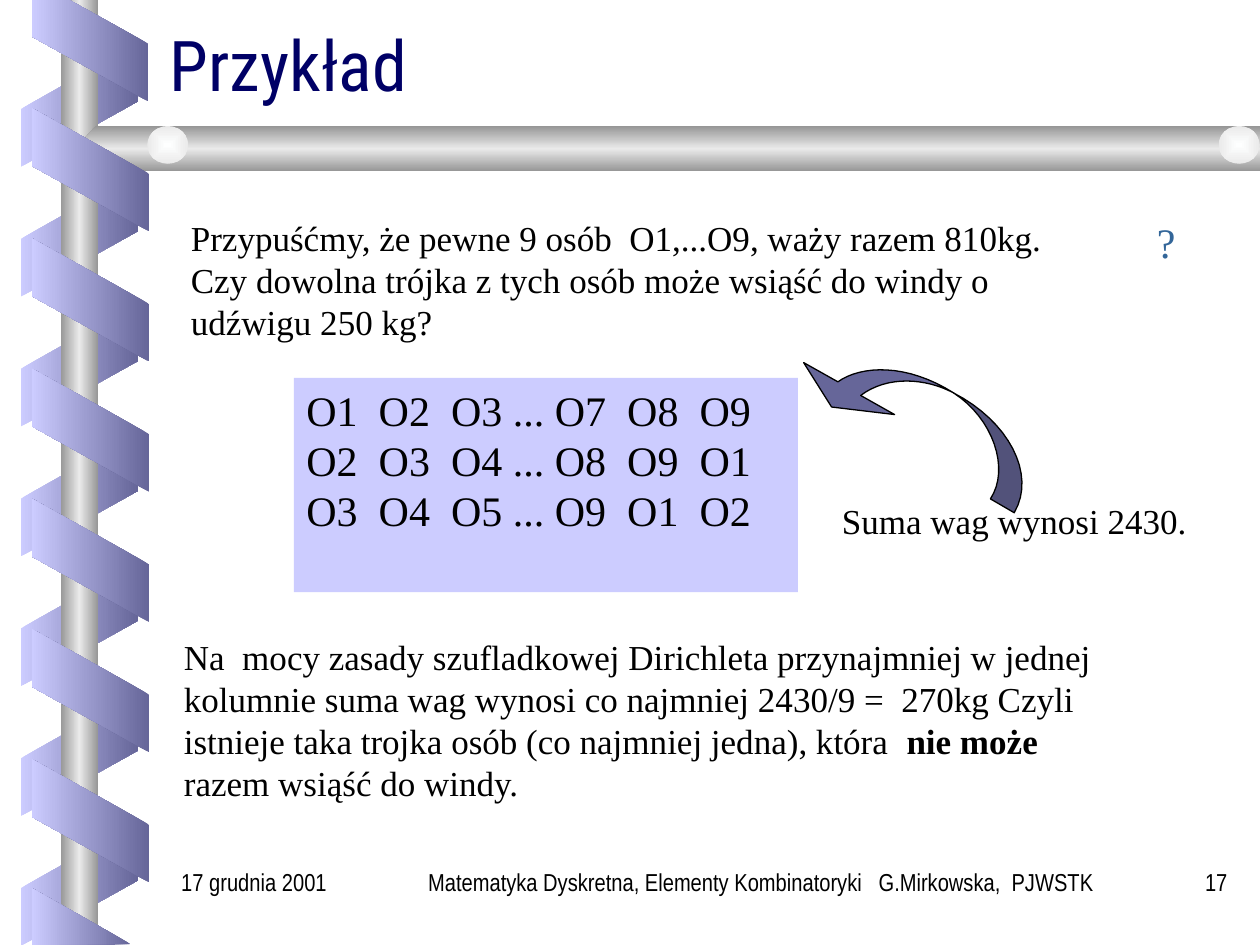
from dataclasses import dataclass

from lxml.etree import SubElement
from pptx import Presentation
from pptx.dml.color import RGBColor
from pptx.enum.shapes import MSO_SHAPE
from pptx.enum.text import MSO_ANCHOR, PP_ALIGN
from pptx.oxml.ns import qn
from pptx.util import Pt


@dataclass(frozen=True)
class Theme:
    navy: str = "000066"
    ink: str = "000000"
    blue: str = "336699"
    pale: str = "CCCCFF"
    dusk: str = "666699"
    shade: str = "52527A"
    steel: str = "969696"
    shine: str = "EAEAEA"
    white: str = "FEFFFF"
    head: int = 40
    large: int = 24
    body: int = 20
    small: int = 14
    serif: str = "Times New Roman"
    narrow: str = "Arial Narrow"
    title: str = "Roboto Condensed"


T = Theme()


def paint(shape, color, line=None):
    """Solid fill, with an optional thin outline."""
    shape.shadow.inherit = False
    shape.fill.solid()
    shape.fill.fore_color.rgb = RGBColor.from_string(color)
    if line:
        shape.line.color.rgb = RGBColor.from_string(line)
        shape.line.width = Pt(0.75)
    else:
        shape.line.fill.background()


def blend(shape, *colors, angle=None):
    """Evenly spaced gradient; without an angle it runs from the centre."""
    shape.shadow.inherit = False
    shape.line.fill.background()
    shape.fill.gradient()
    grad = shape._element.spPr.find(qn("a:gradFill"))
    grad.set("rotWithShape", "0")
    for child in list(grad):
        grad.remove(child)
    stops = SubElement(grad, qn("a:gsLst"))
    for i, color in enumerate(colors):
        place = 100000 * i // (len(colors) - 1)
        stop = SubElement(stops, qn("a:gs"), pos=str(place))
        SubElement(stop, qn("a:srgbClr"), val=color)
    if angle is None:
        core = SubElement(grad, qn("a:path"), {"path": "rect"})
        SubElement(core, qn("a:fillToRect"), dict.fromkeys("ltrb", "50000"))
    else:
        SubElement(grad, qn("a:lin"), ang=str(angle * 60000), scaled="0")


def add(slide, kind, *box):
    return slide.shapes.add_shape(kind, *map(Pt, box))


def outline(slide, points):
    start, *rest = [(Pt(x), Pt(y)) for x, y in points]
    pen = slide.shapes.build_freeform(*start)
    pen.add_line_segments(rest, close=True)
    return pen.convert_to_shape()


def curve(a, b, c, d, steps=16):
    """Points along a cubic curve."""
    found = []
    for i in range(steps + 1):
        t = i / steps
        u = 1 - t
        found.append(tuple(
            u**3 * p + 3 * u * u * t * q + 3 * u * t * t * r + t**3 * s
            for p, q, r, s in zip(a, b, c, d)))
    return found


def write(slide, text, *box, size=T.body, font=T.serif, color=T.ink, bold="",
          align=PP_ALIGN.LEFT, anchor=MSO_ANCHOR.TOP, wrap=True, space=None,
          fill=None):
    """Text in a box; the phrase given as bold is set in bold."""
    if fill:
        shape = add(slide, MSO_SHAPE.RECTANGLE, *box)
        paint(shape, fill)
    else:
        shape = slide.shapes.add_textbox(*map(Pt, box))
    frame = shape.text_frame
    frame.word_wrap = wrap
    frame.vertical_anchor = anchor
    for i, row in enumerate(text.split("\n")):
        para = frame.add_paragraph() if i else frame.paragraphs[0]
        para.alignment = align
        para.line_spacing = space
        before, mark, after = row.partition(bold) if bold else (row, "", "")
        for part in filter(None, (before, mark, after)):
            run = para.add_run()
            run.text = part
            run.font.size = Pt(size)
            run.font.name = font
            run.font.bold = bool(bold) and part == bold
            run.font.color.rgb = RGBColor.from_string(color)


def band(slide, left, top, back):
    """One turn of the ribbon, behind or before the pole."""
    shape = add(slide, MSO_SHAPE.PARALLELOGRAM, left, top, 70.5, 67)
    shape.adjustments[0] = 0.56
    shape.rotation = 90 if back else 270
    if back:
        shape._element.spPr.xfrm.set("flipH", "1")
    ends = (T.pale, T.dusk) if back else (T.dusk, T.pale)
    blend(shape, *ends, angle=180)


def frame(slide):
    metal = (T.steel, T.shine, T.steel)
    # Ribbon behind the pole
    for i in range(7):
        band(slide, 10.1, 26.6 + 74.2 * i, True)
    # Pole, bar and knobs
    pole = add(slide, MSO_SHAPE.RECTANGLE, 34.6, 0, 21.6, 540)
    blend(pole, *metal, angle=180)
    bar = outline(slide, [(720, 72), (54.7, 72), (43.2, 85), (54.7, 98),
                          (720, 98)])
    blend(bar, *metal, angle=90)
    for left in (84.2, 696.4):
        knob = add(slide, MSO_SHAPE.OVAL, left, 72, 23.4, 21.6)
        blend(knob, T.white, T.shine)
    # Ribbon before the pole, cut at both slide edges
    for i in range(6):
        band(slide, 16.3, 63.4 + 74.4 * i, False)
    for points in ([(18.4, 0), (18.4, 21), (84.7, 58), (84.7, 25), (39.6, 0)],
                   [(74.7, 539.5), (18.4, 507.6), (18.4, 540)]):
        blend(outline(slide, points), T.dusk, T.pale, angle=180)


def arrow(slide):
    """Curved arrow: a light head and a dark tail that meet at the bend."""
    bend = (545, 224.6)
    notch, inner = (478.8, 218.2), (491.8, 226)
    head = curve(notch, (492, 208.8), (518, 207.4), bend)
    head += curve(bend, (529, 216), (507, 214.5), inner)
    head += [(511.2, 236.9), (475.2, 232.6), (459.2, 207.2)]
    tail = curve(bend, (576, 240.5), (592.5, 270.7), (579.6, 293))
    tail += curve((566, 285.1), (577.4, 267.8), (567.4, 239), bend)
    paint(outline(slide, head), T.dusk, T.ink)
    paint(outline(slide, tail), T.shade, T.ink)


def main():
    deck = Presentation()
    deck.slide_width, deck.slide_height = Pt(720), Pt(540)
    slide = deck.slides.add_slide(deck.slide_layouts[6])
    frame(slide)

    # Title and question
    write(slide, "Przykład", 90, 18, 612, 45.4, size=T.head, font=T.title,
          color=T.navy, anchor=MSO_ANCHOR.BOTTOM, space=0.8)
    write(slide, "Przypuśćmy, że pewne 9 osób  O1,...O9, waży razem 810kg. "
          "Czy dowolna trójka z tych osób może wsiąść do windy o udźwigu "
          "250 kg?", 102, 120, 534, 79)
    write(slide, "?", 654, 120, 36, 54, size=T.large, color=T.blue, wrap=False)

    # Grid of people and the conclusion
    write(slide, "O1  O2  O3 ... O7  O8  O9\n"
          "O2  O3  O4 ... O8  O9  O1\n"
          "O3  O4  O5 ... O9  O1  O2",
          168, 216, 288, 122.4, size=T.large, fill=T.pale)
    write(slide, "Na  mocy zasady szufladkowej Dirichleta przynajmniej w "
          "jednej kolumnie suma wag wynosi co najmniej 2430/9 =  270kg Czyli "
          "istnieje taka trojka osób (co najmniej jedna), która  nie może "
          "razem wsiąść do windy.", 98, 359.4, 538.6, 103.7, bold="nie może")
    arrow(slide)
    write(slide, "Suma wag wynosi 2430.", 474, 282, 216, 31.7)

    # Footer
    for text, left, wide, align in (
            ("Matematyka Dyskretna, Elementy Kombinatoryki   G.Mirkowska,  "
             "PJWSTK", 228, 414, PP_ALIGN.CENTER),
            ("17", 648, 60.5, PP_ALIGN.RIGHT),
            ("17 grudnia 2001", 96.5, 125.3, PP_ALIGN.LEFT)):
        write(slide, text, left, 492, wide, 36, size=T.small, font=T.narrow,
              align=align)

    deck.save("out.pptx")


if __name__ == "__main__":
    main()
